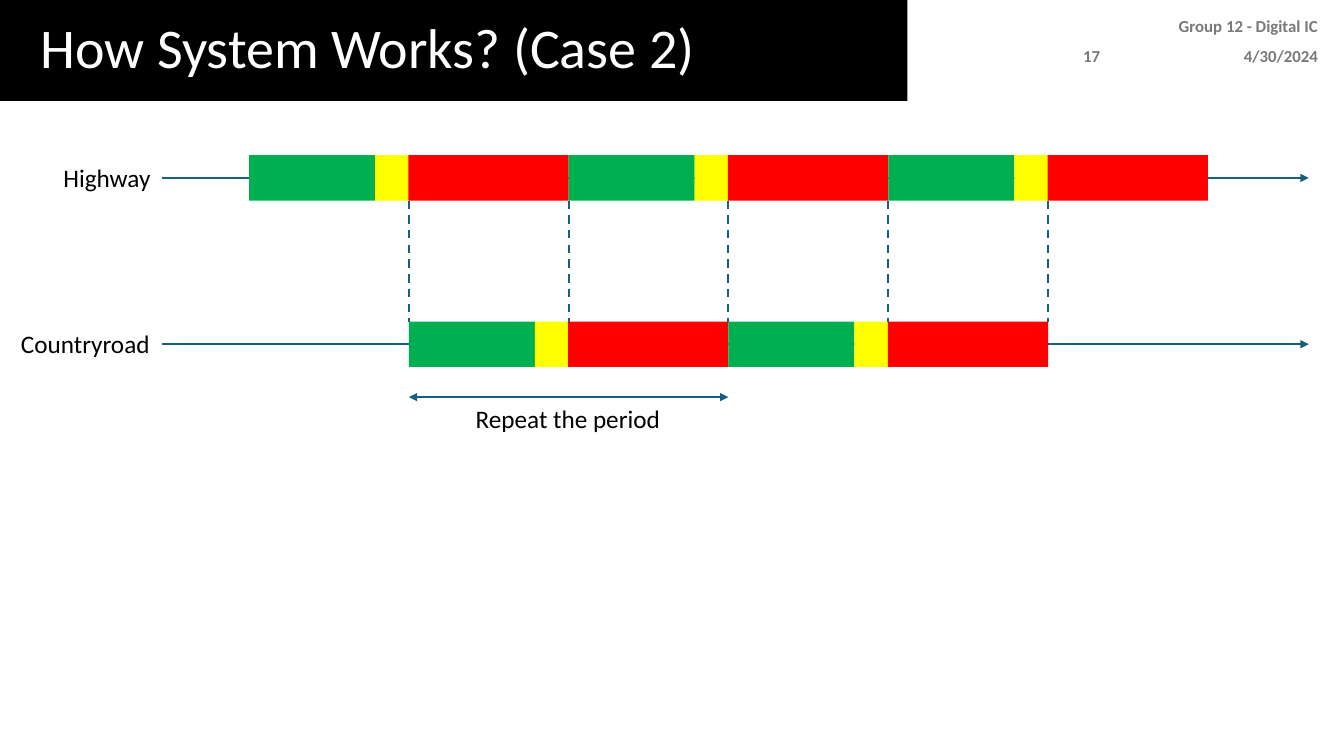
import pptx
import pptx.util
from lxml import etree
from pptx.dml.color import RGBColor
from pptx.enum.dml import MSO_LINE
from pptx.enum.shapes import MSO_CONNECTOR, MSO_SHAPE
from pptx.enum.text import MSO_ANCHOR, MSO_AUTO_SIZE, PP_ALIGN
from pptx.oxml.ns import qn
from pptx.util import Inches

BLACK = RGBColor(0x00, 0x00, 0x00)
WHITE = RGBColor(0xFF, 0xFF, 0xFF)
GRAY = RGBColor(0x79, 0x79, 0x79)
BLUE = RGBColor(0x15, 0x60, 0x82)
GREEN = RGBColor(0x00, 0xB0, 0x50)
YELLOW = RGBColor(0xFF, 0xFF, 0x00)
RED = RGBColor(0xFF, 0x00, 0x00)

# Each light cycle: colour, offset from the cycle start, width
LIGHTS = [(GREEN, 0, 1.25), (YELLOW, 1.25, 0.34), (RED, 1.58, 1.59)]
START, PHASE, LIGHT_HEIGHT = 2.47, 1.585, 0.45
HIGHWAY_TOP, COUNTRY_TOP = 1.54, 3.19
AXIS_LEFT, AXIS_RIGHT = 1.61, 12.98


class TimingSlide:
    font = "Calibri"

    def __init__(self, prs):
        self.s = prs.slides.add_slide(prs.slide_layouts[5])

    def style(self, p, size, color, bold=False, align=PP_ALIGN.LEFT):
        p.alignment = align
        p.font.name = self.font
        p.font.size = pptx.util.Pt(size)
        p.font.bold = bold
        p.font.color.rgb = color

    def title(self, text, width, height):
        sp = self.s.shapes.title
        sp.left, sp.top = Inches(0), Inches(0)
        sp.width, sp.height = Inches(width), Inches(height)
        sp.fill.solid()
        sp.fill.fore_color.rgb = BLACK
        tf = sp.text_frame
        tf.text = text
        tf.auto_size = MSO_AUTO_SIZE.NONE
        tf.vertical_anchor = MSO_ANCHOR.MIDDLE
        tf.margin_left = Inches(0.4)
        tf.paragraphs[0].line_spacing = 0.9
        self.style(tf.paragraphs[0], 40, WHITE)

    def textbox(self, text, left, top, width, height):
        box = self.s.shapes.add_textbox(
            Inches(left), Inches(top), Inches(width), Inches(height))
        box.text_frame.text = text
        return box.text_frame

    def header(self, text, left, top, width):
        tf = self.textbox(text, left, top, width, 0.21)
        tf.word_wrap = True
        tf.vertical_anchor = MSO_ANCHOR.MIDDLE
        self.style(tf.paragraphs[0], 12, GRAY, True, PP_ALIGN.RIGHT)

    def label(self, text, left, top, width):
        tf = self.textbox(text, left, top, width, 0.4)
        tf.word_wrap = False
        tf.auto_size = MSO_AUTO_SIZE.SHAPE_TO_FIT_TEXT
        self.style(tf.paragraphs[0], 18, BLACK)

    def line(self, x1, y1, x2, y2, dashed=False, arrows=()):
        """Draw a line; arrows names the ends with a head: headEnd, tailEnd."""
        c = self.s.shapes.add_connector(
            MSO_CONNECTOR.STRAIGHT, Inches(x1), Inches(y1), Inches(x2), Inches(y2))
        c.line.color.rgb = BLUE
        c.line.width = pptx.util.Pt(1.5)
        if dashed:
            c.line.dash_style = MSO_LINE.DASH
        ln = c.line._get_or_add_ln()
        for end in arrows:
            etree.SubElement(ln, qn(f"a:{end}"), type="triangle")
        etree.SubElement(c._element.spPr, qn("a:effectLst"))

    def cycle(self, left, top):
        """Draw one green, yellow and red sequence."""
        for color, offset, width in LIGHTS:
            sp = self.s.shapes.add_shape(
                MSO_SHAPE.RECTANGLE, Inches(left + offset), Inches(top),
                Inches(width), Inches(LIGHT_HEIGHT))
            sp.shadow.inherit = False
            sp.fill.solid()
            sp.fill.fore_color.rgb = color
            sp.line.fill.background()


def phase_x(n):
    return START + n * PHASE


def main():
    prs = pptx.Presentation()
    prs.slide_width, prs.slide_height = Inches(13.33), Inches(7.5)
    slide = TimingSlide(prs)

    slide.title("How System Works? (Case 2)", 9, 1)
    slide.header("4/30/2024", 11.33, 0.45, 1.84)
    slide.header("Group 12 - Digital IC", 9.17, 0.15, 4)
    slide.header("17", 9.17, 0.45, 1.84)

    roads = [
        ("Highway", 0.53, 1.08, HIGHWAY_TOP, (0, 2, 4)),
        ("Countryroad", 0.11, 1.49, COUNTRY_TOP, (1, 3)),
    ]
    for name, left, width, top, phases in roads:
        axis_y = top + LIGHT_HEIGHT / 2
        slide.line(AXIS_LEFT, axis_y, AXIS_RIGHT, axis_y, arrows=["tailEnd"])
        slide.label(name, left, top + 0.02, width)
        for n in phases:
            slide.cycle(phase_x(n), top)

    for n in range(1, 6):
        slide.line(phase_x(n), HIGHWAY_TOP + LIGHT_HEIGHT,
                   phase_x(n), COUNTRY_TOP, dashed=True)

    slide.line(phase_x(1), 3.94, phase_x(3), 3.94, arrows=["headEnd", "tailEnd"])
    slide.label("Repeat the period", 4.62, 3.95, 2.05)

    prs.save("out.pptx")


if __name__ == "__main__":
    main()
